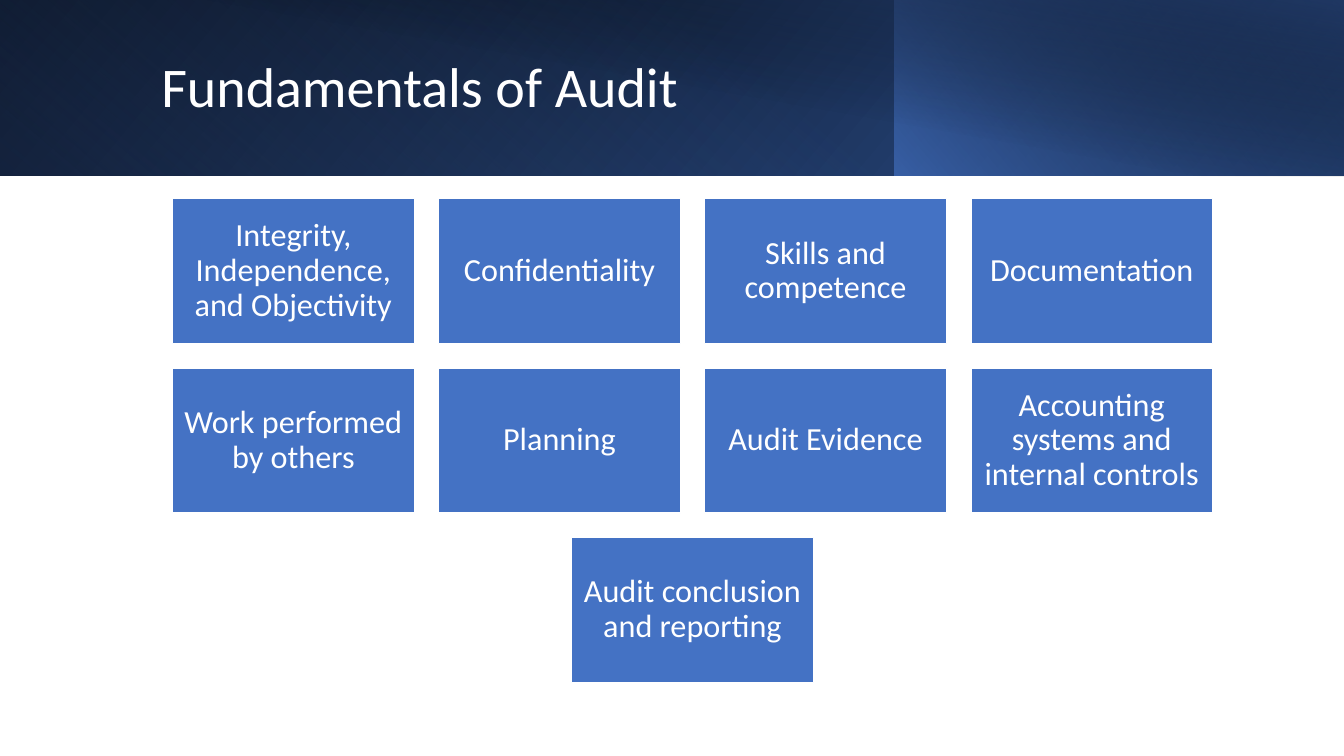
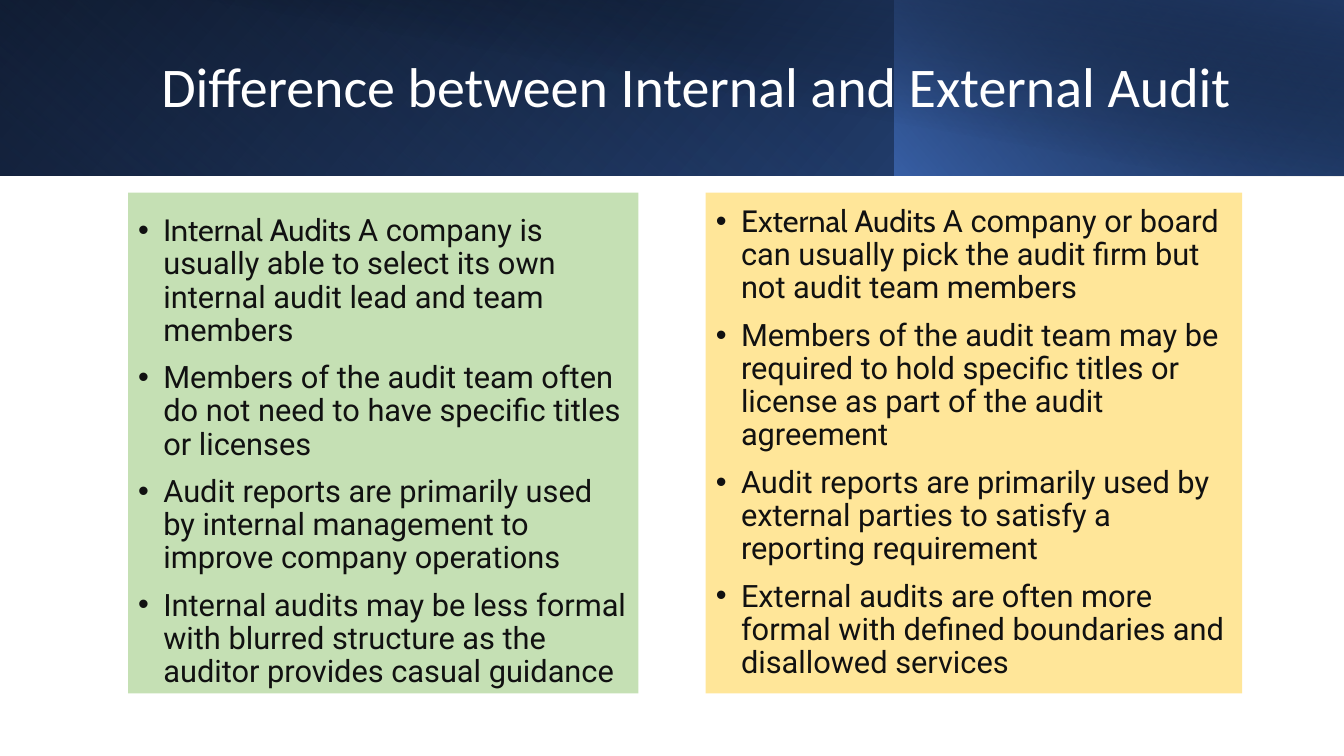
"""Build two audit slides: a grid of fundamentals and a comparison of audit types."""
from collections import namedtuple

from pptx import Presentation
from pptx.dml.color import RGBColor
from pptx.enum.shapes import MSO_SHAPE as Shape
from pptx.enum.text import MSO_ANCHOR as Anchor, MSO_AUTO_SIZE as AutoSize, PP_ALIGN as Align
from pptx.oxml import parse_xml
from pptx.oxml.ns import nsdecls, qn
from pptx.oxml.xmlchemy import OxmlElement
from pptx.util import Inches, Pt

SLIDE_WIDTH, SLIDE_HEIGHT = Inches(13.33), Inches(7.5)
TITLE_ONLY, TWO_CONTENT = 5, 3
COLORS = {
    "white": "FFFFFF", "black": "000000", "ink": "111111",
    "blue": "4472C4", "royal": "2F5597", "navy": "203864",
    "green": "C5E0B4", "yellow": "FFE699",
}

Area = namedtuple("Area", "left top width height")
Stop = namedtuple("Stop", "position color opacity")
Band = namedtuple("Band", "area angle stops flipped rotation")

HEADER_BANDS = [
    Band(Area(0, 0, 100, 23.2), 140,
         [Stop(0, "black", 100), Stop(100, "royal", 100)], True, 0),
    Band(Area(0, 0, 66.6, 23.2), 230,
         [Stop(20, "blue", 0), Stop(100, "navy", 55)], True, 180),
    Band(Area(66.54, 0, 33.46, 23.2), 220,
         [Stop(0, "blue", 66), Stop(100, "black", 30)], True, 0),
    Band(Area(3.75, 0, 96.25, 23.33), 280,
         [Stop(50, "black", 0), Stop(99, "navy", 52)], False, 0),
]
TITLE_AREA = Area(11.25, 4.27, 81.17, 15.07)

CARD_WIDTH, CARD_HEIGHT = 18, 19.2
COLUMN_GAP, ROW_GAP = 1.8, 3.2
GRID_CENTER, GRID_TOP = 51.54, 26.27
FUNDAMENTALS = [
    ["Integrity, Independence, and Objectivity", "Confidentiality",
     "Skills and competence", "Documentation"],
    ["Work performed by others", "Planning", "Audit Evidence",
     "Accounting systems and internal controls"],
    ["Audit conclusion and reporting"],
]

INTERNAL_AREA = Area(9.53, 25.47, 37.96, 66.27)
EXTERNAL_AREA = Area(52.51, 25.47, 39.91, 66.27)
INTERNAL_POINTS = [
    "A company is usually able to select its own internal audit lead and team members",
    "Members of the audit team often do not need to have specific titles or licenses",
    "Audit reports are primarily used by internal management to improve company operations",
    "Internal audits may be less formal with blurred structure as the auditor provides "
    "casual guidance",
]
EXTERNAL_POINTS = [
    "A company or board can usually pick the audit firm but not audit team members",
    "Members of the audit team may be required to hold specific titles or license as part "
    "of the audit agreement",
    "Audit reports are primarily used by external parties to satisfy a reporting requirement",
    "External audits are often more formal with defined boundaries and disallowed services",
]


def rgb(name):
    """Return the palette colour with this name."""
    return RGBColor.from_string(COLORS[name])


def to_lengths(area):
    """Turn percentages of the slide into lengths."""
    return (round(SLIDE_WIDTH * area.left / 100), round(SLIDE_HEIGHT * area.top / 100),
            round(SLIDE_WIDTH * area.width / 100), round(SLIDE_HEIGHT * area.height / 100))


def place(shape, area):
    """Move and size a shape to an area of the slide."""
    shape.left, shape.top, shape.width, shape.height = to_lengths(area)


def style_paragraph(paragraph, size, font, color, align):
    """Apply the font, alignment and tight line spacing."""
    paragraph.alignment = align
    paragraph.line_spacing = 0.9
    paragraph.font.size = Pt(size)
    paragraph.font.name = font
    paragraph.font.color.rgb = rgb(color)


def prepare_frame(frame):
    """Wrap text at a fixed size around the vertical middle."""
    frame.word_wrap = True
    frame.auto_size = AutoSize.NONE
    frame.vertical_anchor = Anchor.MIDDLE


def add_rectangle(slide, area):
    """Add a rectangle without a shadow."""
    rectangle = slide.shapes.add_shape(Shape.RECTANGLE, *to_lengths(area))
    rectangle.shadow.inherit = False
    return rectangle


def gradient_fill(band):
    """Return the linear gradient of a band."""
    stops = "".join(
        f'<a:gs pos="{stop.position * 1000}"><a:srgbClr val="{COLORS[stop.color]}">'
        f'<a:alpha val="{stop.opacity * 1000}"/></a:srgbClr></a:gs>'
        for stop in band.stops)
    return parse_xml(
        f'<a:gradFill {nsdecls("a")} rotWithShape="1"><a:gsLst>{stops}</a:gsLst>'
        f'<a:lin ang="{band.angle * 60000}" scaled="0"/></a:gradFill>')


def add_header(slide, heading):
    """Layer the gradient bands behind the title."""
    for layer, band in enumerate(HEADER_BANDS):
        strip = add_rectangle(slide, band.area)
        strip.rotation = band.rotation
        strip.line.fill.background()
        properties = strip._element.spPr
        properties.find(qn("a:prstGeom")).addnext(gradient_fill(band))
        if band.flipped:
            properties.find(qn("a:xfrm")).set("flipH", "1")
        slide.shapes._spTree.insert(2 + layer, strip._element)
    title = slide.shapes.title
    place(title, TITLE_AREA)
    title.text = heading
    prepare_frame(title.text_frame)
    style_paragraph(title.text_frame.paragraphs[0], 40, "Calibri", "white", Align.LEFT)


def add_card(slide, area, label):
    """Add one blue card with a centred label."""
    card = add_rectangle(slide, area)
    card.fill.solid()
    card.fill.fore_color.rgb = rgb("blue")
    card.line.color.rgb = rgb("white")
    card.line.width = Pt(1)
    frame = card.text_frame
    frame.text = label
    prepare_frame(frame)
    frame.margin_left = frame.margin_right = Inches(0.1)
    frame.margin_top = frame.margin_bottom = Inches(0.1)
    style_paragraph(frame.paragraphs[0], 23, "Calibri", "white", Align.CENTER)


def add_card_grid(slide, rows):
    """Add rows of cards, each row centred on the grid."""
    for row, labels in enumerate(rows):
        row_width = len(labels) * (CARD_WIDTH + COLUMN_GAP) - COLUMN_GAP
        top = GRID_TOP + row * (CARD_HEIGHT + ROW_GAP)
        for column, label in enumerate(labels):
            left = GRID_CENTER - row_width / 2 + column * (CARD_WIDTH + COLUMN_GAP)
            add_card(slide, Area(left, top, CARD_WIDTH, CARD_HEIGHT), label)


def add_bullet(paragraph):
    """Give a paragraph a hanging round bullet."""
    properties = paragraph._p.get_or_add_pPr()
    properties.set("marL", str(Inches(0.25)))
    properties.set("indent", str(-Inches(0.25)))
    bullet = OxmlElement("a:buChar")
    bullet.set("char", "•")
    properties.insert_element_before(bullet, "a:tabLst", "a:defRPr", "a:extLst")


def fill_panel(panel, area, color, lead, points):
    """Turn a body placeholder into a coloured list with a lead-in."""
    place(panel, area)
    panel.fill.solid()
    panel.fill.fore_color.rgb = rgb(color)
    frame = panel.text_frame
    prepare_frame(frame)
    for number, point in enumerate(points):
        paragraph = frame.add_paragraph() if number else frame.paragraphs[0]
        if number == 0:
            opening = paragraph.add_run()
            opening.text = lead
            opening.font.name = "Cabin"
        paragraph.add_run().text = point
        style_paragraph(paragraph, 22, "Roboto", "ink", Align.LEFT)
        paragraph.space_before = Pt(10)
        add_bullet(paragraph)


def build_fundamentals(deck):
    """Build the slide with the grid of audit fundamentals."""
    slide = deck.slides.add_slide(deck.slide_layouts[TITLE_ONLY])
    add_header(slide, "Fundamentals of Audit")
    add_card_grid(slide, FUNDAMENTALS)


def build_comparison(deck):
    """Build the slide that compares internal and external audits."""
    slide = deck.slides.add_slide(deck.slide_layouts[TWO_CONTENT])
    add_header(slide, "Difference between Internal and External Audit")
    internal, external = slide.placeholders[1], slide.placeholders[2]
    fill_panel(internal, INTERNAL_AREA, "green", "Internal Audits ", INTERNAL_POINTS)
    internal.text_frame.margin_top = Inches(0.2)
    internal.text_frame.margin_bottom = Inches(0.02)
    fill_panel(external, EXTERNAL_AREA, "yellow", "External Audits ", EXTERNAL_POINTS)


def main():
    """Build and save the deck."""
    deck = Presentation()
    deck.slide_width, deck.slide_height = SLIDE_WIDTH, SLIDE_HEIGHT
    build_fundamentals(deck)
    build_comparison(deck)
    deck.save("out.pptx")


if __name__ == "__main__":
    main()
